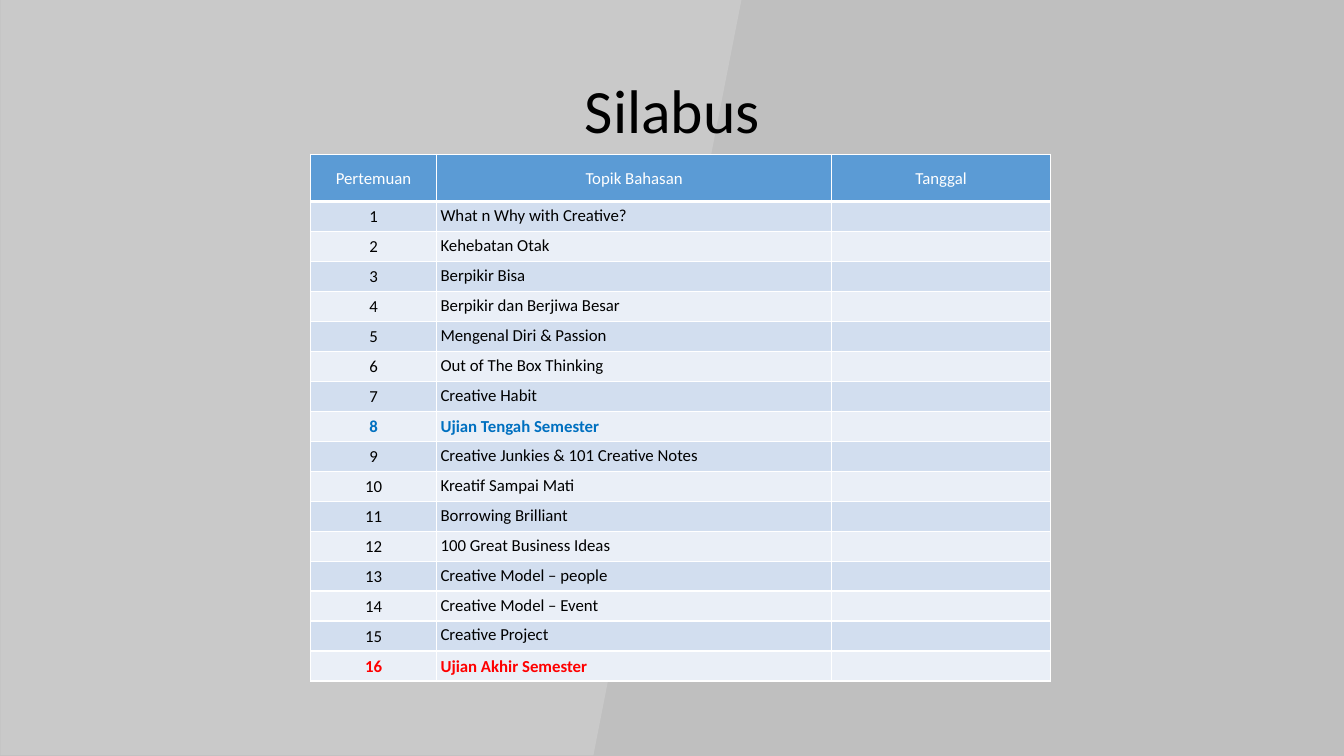
"""Build the syllabus slide with its table of sixteen meetings."""
from pptx import Presentation
from pptx.dml.color import RGBColor
from pptx.enum.shapes import MSO_SHAPE as Geo
from pptx.enum.text import MSO_ANCHOR as Anchor, PP_ALIGN as Align
from pptx.oxml import parse_xml
from pptx.oxml.ns import nsdecls
from pptx.util import Inches, Pt

TITLE = "Silabus"
HEADS = ["Pertemuan", "Topik Bahasan", "Tanggal"]
TOPICS = [
    "What n Why with Creative?", "Kehebatan Otak", "Berpikir Bisa",
    "Berpikir dan Berjiwa Besar", "Mengenal Diri & Passion",
    "Out of The Box Thinking", "Creative Habit", "Ujian Tengah Semester",
    "Creative Junkies & 101 Creative Notes", "Kreatif Sampai Mati",
    "Borrowing Brilliant", "100 Great Business Ideas",
    "Creative Model – people", "Creative Model – Event",
    "Creative Project", "Ujian Akhir Semester",
]
EXAMS = {8: "0070C0", 16: "FF0000"}
BANDS = ["EAEFF7", "D2DEEF"]
COLS = [1.25, 3.92, 2.17]
HEAD_H, ROW_H = 0.47, 0.28


def paint(fill, hue):
    """Give a fill one solid colour."""
    fill.solid()
    fill.fore_color.rgb = RGBColor.from_string(hue)


def write(para, text, size, hue, bold=False):
    """Add one run of text to a paragraph."""
    run = para.add_run()
    run.text = text
    run.font.name = "Calibri"
    run.font.size = Pt(size)
    run.font.bold = bold
    run.font.color.rgb = RGBColor.from_string(hue)


def edge(cell, top, low):
    """Draw white borders around a cell."""
    for side, wide in zip("LRTB", (1, 1, top, low)):
        cell._tc.get_or_add_tcPr().append(parse_xml(
            f'<a:ln{side} {nsdecls("a")} w="{Pt(wide)}"><a:solidFill>'
            f'<a:srgbClr val="FFFFFF"/></a:solidFill></a:ln{side}>'))


def style(cell, row, col, text):
    """Format and fill one table cell."""
    head = row == 0
    edge(cell, 3 if row == 1 else 1, 3 if head else 1)
    paint(cell.fill, "5B9BD5" if head else BANDS[row % 2])
    cell.margin_left = cell.margin_right = Inches(0.04)
    cell.margin_top = cell.margin_bottom = Inches(0.04)
    cell.vertical_anchor = Anchor.MIDDLE if head else Anchor.TOP
    para = cell.text_frame.paragraphs[0]
    if not text:
        para._p.get_or_add_endParaRPr().set("sz", "1200")
        return
    para.alignment = Align.CENTER if head or col == 0 else Align.LEFT
    if head or col == 0 or row in EXAMS:
        para.line_spacing = 1.07
    hue = "FFFFFF" if head else EXAMS.get(row, "000000")
    write(para, text, 12, hue, row in EXAMS)


def main():
    """Lay out the slide and save it."""
    deck = Presentation()
    deck.slide_width, deck.slide_height = Inches(13.33), Inches(7.5)
    slide = deck.slides.add_slide(deck.slide_layouts[5])
    paint(slide.background.fill, "BFBFBF")

    panel = slide.shapes.add_shape(
        Geo.FLOWCHART_MANUAL_INPUT,
        *map(Inches, (-0.07, 0.07, 7.5, 7.35)))
    panel.rotation = 90
    panel._element.spPr.xfrm.set("flipH", "1")
    panel.shadow.inherit = False
    paint(panel.fill, "C9C9C9")
    panel.line.fill.background()
    slide.shapes._spTree.insert(2, panel._element)

    title = slide.shapes.title
    title.left, title.top, title.width, title.height = map(
        Inches, (0.92, 0.4, 11.5, 1.45))
    title.text_frame.vertical_anchor = Anchor.MIDDLE
    para = title.text_frame.paragraphs[0]
    para.alignment, para.line_spacing = Align.CENTER, 0.9
    write(para, TITLE, 44, "000000")

    rows = [HEADS] + [[str(n), t, ""] for n, t in enumerate(TOPICS, 1)]
    tall = HEAD_H + ROW_H * len(TOPICS)
    table = slide.shapes.add_table(
        len(rows), len(COLS),
        *map(Inches, (3.08, 1.53, sum(COLS), tall))).table
    for col, wide in zip(table.columns, COLS):
        col.width = Inches(wide)
    for r, texts in enumerate(rows):
        table.rows[r].height = Inches(ROW_H if r else HEAD_H)
        for c, text in enumerate(texts):
            style(table.cell(r, c), r, c, text)
    deck.save("out.pptx")


if __name__ == "__main__":
    main()
